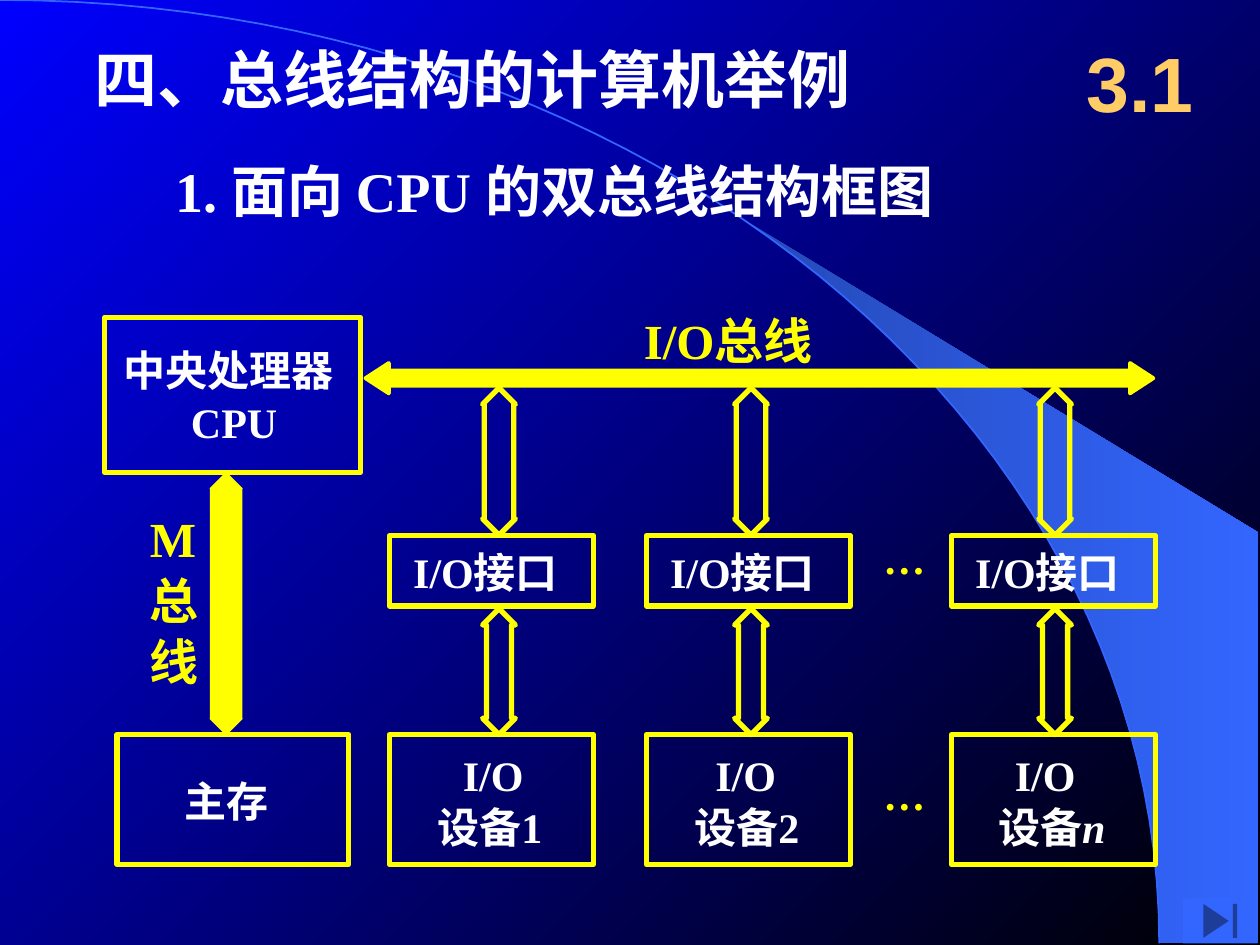
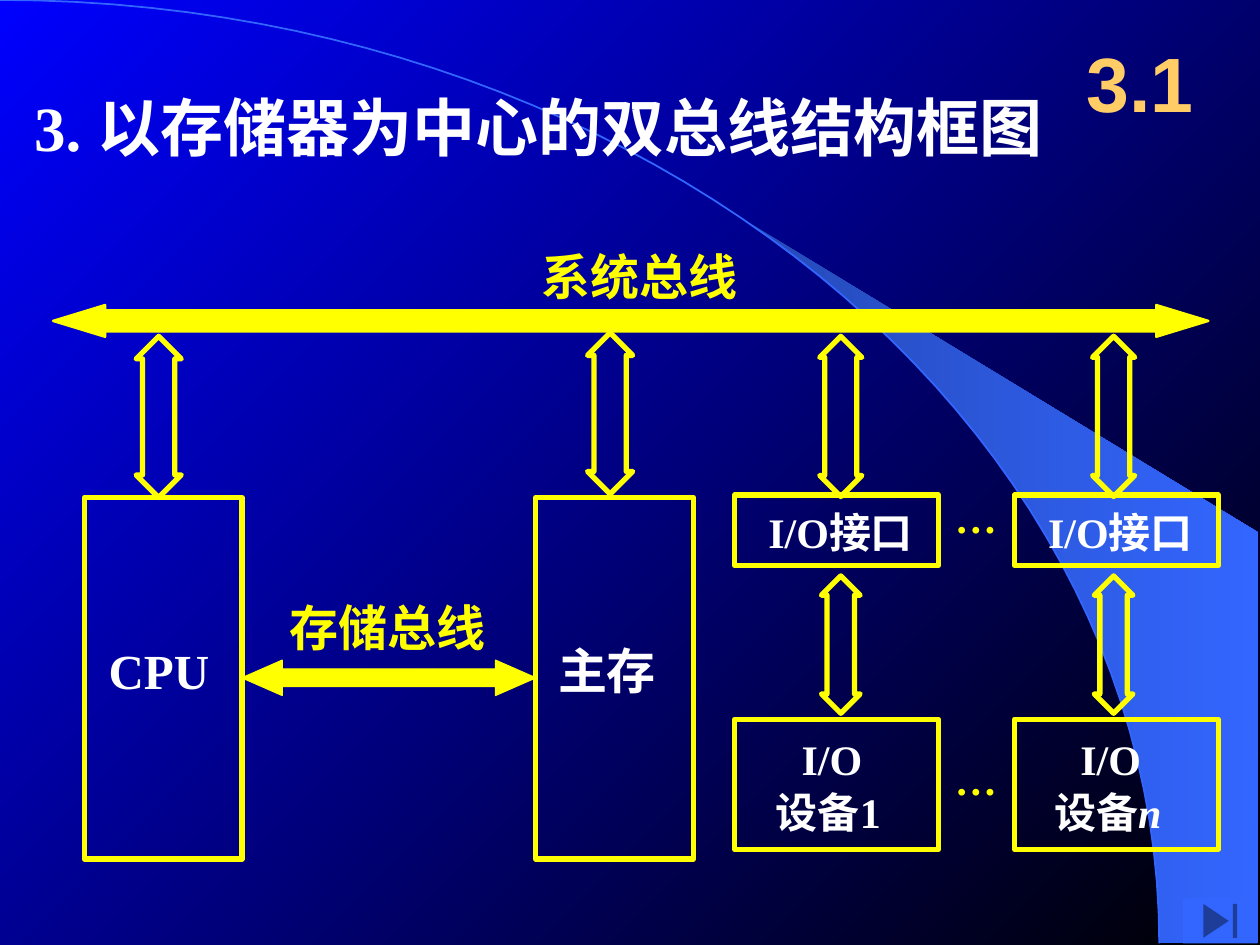
from typing import NamedTuple

from pptx import Presentation
from pptx.dml.color import RGBColor
from pptx.enum.shapes import MSO_SHAPE
from pptx.enum.text import MSO_ANCHOR, PP_ALIGN
from pptx.oxml.ns import qn
from pptx.util import Cm, Pt

RECT = MSO_SHAPE.RECTANGLE
UP_DOWN = MSO_SHAPE.UP_DOWN_ARROW
LEFT_RIGHT = MSO_SHAPE.LEFT_RIGHT_ARROW
END_BUTTON = MSO_SHAPE.ACTION_BUTTON_END
TOP, MIDDLE = MSO_ANCHOR.TOP, MSO_ANCHOR.MIDDLE
LEFT, CENTER = PP_ALIGN.LEFT, PP_ALIGN.CENTER

COLORS = {
    "sky": "0000FF",
    "night": "000000",
    "arc": "3366FF",
    "arc_dark": "2449B6",
    "text": "FFFFFF",
    "bus": "FFFF00",
    "section": "FFCC66",
}
SERIF, SANS, CJK = "Times New Roman", "Arial", "Noto Sans CJK SC"
LINE_FACTOR = 1.25

# Sizes shared by both diagrams
IO_WIDTH, INTERFACE_HEIGHT, DEVICE_HEIGHT = 4.11, 1.42, 2.62
HEAD_SHARE = 0.2


class Area(NamedTuple):
    left: float
    top: float
    width: float
    height: float


class Line(NamedTuple):
    text: str
    indent: float = 0
    italic_tail: str = ""


class Span(NamedTuple):
    top: float
    height: float
    width: float


class IoColumn(NamedTuple):
    left: float
    center: float
    name_indent: float
    number_indent: float
    number: str = ""
    variable: str = ""


class IoBank(NamedTuple):
    interface_top: float
    device_top: float
    upper: Span
    lower: Span
    interface_indent: float
    dots_left: float
    columns: list[IoColumn]


def rgb(name: str) -> RGBColor:
    return RGBColor.from_string(COLORS[name])


def set_gradient(fill, start: str, end: str, angle: float) -> None:
    fill.gradient()
    fill.gradient_angle = angle
    for stop, name in zip(fill.gradient_stops, (start, end)):
        stop.color.rgb = rgb(name)


# Text
def write_text(shape, lines: list[Line], *, size: float, color: str = "text",
               font: str = SERIF, east_font: str = CJK, anchor=TOP,
               align=LEFT, bottom: float = 0) -> None:
    frame = shape.text_frame
    frame.word_wrap = True
    frame.vertical_anchor = anchor
    frame.margin_left = frame.margin_right = frame.margin_top = 0
    frame.margin_bottom = Cm(bottom)
    for index, line in enumerate(lines):
        paragraph = frame.add_paragraph() if index else frame.paragraphs[0]
        paragraph.alignment = align
        paragraph.line_spacing = Pt(size * LINE_FACTOR)
        paragraph._p.get_or_add_pPr().set("marL", str(Cm(line.indent)))
        for text, italic in ((line.text, False), (line.italic_tail, True)):
            if not text:
                continue
            run = paragraph.add_run()
            run.text = text
            run.font.size = Pt(size)
            run.font.bold = True
            run.font.italic = italic
            run.font.name = font
            run.font.color.rgb = rgb(color)
            east = run._r.get_or_add_rPr().makeelement(
                qn("a:ea"), {"typeface": east_font})
            run.font._element.find(qn("a:latin")).addnext(east)


def add_label(slide, area: Area, *texts: str, **style) -> None:
    label = slide.shapes.add_textbox(*map(Cm, area))
    write_text(label, [Line(text) for text in texts], **style)


# Shapes
def add_figure(slide, kind, area: Area, *, fill: str = "", line: str = "",
               weight: float = 3):
    figure = slide.shapes.add_shape(kind, *map(Cm, area))
    figure.shadow.inherit = False
    paint(figure, fill, line, weight)
    return figure


def paint(figure, fill: str, line: str, weight: float) -> None:
    if fill:
        figure.fill.solid()
        figure.fill.fore_color.rgb = rgb(fill)
    else:
        figure.fill.background()
    if line:
        figure.line.color.rgb = rgb(line)
        figure.line.width = Pt(weight)
    else:
        figure.line.fill.background()


def add_unit(slide, area: Area, *lines: Line, size: float = 24,
             bottom: float = 0) -> None:
    unit = add_figure(slide, RECT, area, line="bus")
    write_text(unit, list(lines), size=size, anchor=MIDDLE, bottom=bottom)


def add_bus(slide, kind, area: Area, shaft: float, head: float,
            weight: float) -> None:
    bus = add_figure(slide, kind, area, fill="bus", line="bus", weight=weight)
    bus.adjustments[0], bus.adjustments[1] = shaft, head


def add_link(slide, center: float, span: Span) -> None:
    area = Area(center - span.width / 2, span.top, span.width, span.height)
    link = add_figure(slide, UP_DOWN, area, line="bus")
    link.adjustments[0] = 0.5
    link.adjustments[1] = HEAD_SHARE * span.height / span.width


def add_outline(slide, points: list[tuple[float, float]], closed: bool):
    first, *rest = [(Cm(x), Cm(y)) for x, y in points]
    builder = slide.shapes.build_freeform(*first, scale=1.0)
    builder.add_line_segments(rest, close=closed)
    outline = builder.convert_to_shape()
    outline.shadow.inherit = False
    return outline


# Shared slide frame
def arc_point(t: float) -> tuple[float, float]:
    second, third = 3 * t * (1 - t) ** 2, 3 * t ** 2 * (1 - t)
    return (12.9 * second + 23.37 * (third + t ** 3),
            8.51 * third + 19.02 * t ** 3)


def add_base_slide(prs):
    slide = prs.slides.add_slide(prs.slide_layouts[6])
    arc = [arc_point(step / 50) for step in range(51)]
    beam = add_outline(slide, arc[22:] + [(25.37, 19.02), (25.37, 10.74)], True)
    set_gradient(beam.fill, "arc_dark", "arc", 0)
    beam.line.fill.background()
    paint(add_outline(slide, arc, False), "", "arc", 1)
    add_label(slide, Area(21.39, 0.43, 3.18, 2.34), "3.1", size=44, font=SANS,
              color="section", anchor=MIDDLE, align=CENTER)
    add_figure(slide, END_BUTTON, Area(23.85, 18.11, 1.5, 0.91), fill="arc")
    return slide


def add_io_bank(slide, bank: IoBank) -> None:
    for column in bank.columns:
        add_unit(slide, Area(column.left, bank.interface_top, IO_WIDTH,
                             INTERFACE_HEIGHT),
                 Line("I/O接口", bank.interface_indent))
        add_unit(slide, Area(column.left, bank.device_top, IO_WIDTH,
                             DEVICE_HEIGHT),
                 Line("I/O", column.name_indent),
                 Line("设备" + column.number, column.number_indent,
                      column.variable))
        for span in (bank.upper, bank.lower):
            add_link(slide, column.center, span)
    for top in (bank.interface_top - 0.11, bank.device_top + 0.65):
        add_label(slide, Area(bank.dots_left, top, 1.04, 1.02), "…", size=24,
                  color="bus", east_font=SERIF)


def build_cpu_centred(prs) -> None:
    slide = add_base_slide(prs)
    add_label(slide, Area(1.9, 0.76, 17.2, 1.6), "四、总线结构的计算机举例", size=36)
    add_label(slide, Area(3.53, 3.1, 18, 1.4), "1. 面向 CPU 的双总线结构框图",
              size=32)

    # Processor, memory and their buses
    add_unit(slide, Area(2.11, 6.4, 5.16, 3.12),
             Line("中央处理器", 0.39), Line("CPU", 1.74))
    add_unit(slide, Area(2.36, 14.81, 4.67, 2.62), Line("主存", 1.37))
    add_label(slide, Area(12.98, 6.22, 5.03, 1.2), "I/O总线", size=28,
              color="bus")
    add_bus(slide, LEFT_RIGHT, Area(7.37, 7.32, 15.88, 0.61), 0.5, 0.77, 2.25)
    add_label(slide, Area(3.02, 10.21, 1.2, 3.7), "M", "总", "线", size=28,
              color="bus")
    add_bus(slide, UP_DOWN, Area(4.24, 9.53, 0.64, 5.28), 0.5, 0.98, 0.75)

    add_io_bank(slide, IoBank(
        interface_top=10.8, device_top=14.81,
        upper=Span(7.82, 2.97, 0.66), lower=Span(12.27, 2.54, 0.66),
        interface_indent=0.48, dots_left=17.81,
        columns=[IoColumn(7.85, 10.06, 1.48, 0.97, number="1"),
                 IoColumn(13.03, 15.14, 1.39, 0.97, number="2"),
                 IoColumn(19.18, 21.27, 1.28, 0.94, variable="n")]))


def build_memory_centred(prs) -> None:
    slide = add_base_slide(prs)
    add_label(slide, Area(0.69, 1.73, 21.6, 1.6), "3. 以存储器为中心的双总线结构框图",
              size=36)

    # System bus
    add_label(slide, Area(10.92, 4.93, 6.43, 1.2), "系统总线", size=28,
              color="bus")
    add_bus(slide, LEFT_RIGHT, Area(1.07, 6.15, 23.29, 0.64), 0.67, 1.64, 1.38)

    # Processor and memory
    for left, name, indent, link_top in ((1.7, "CPU", 0.49, 6.78),
                                         (10.8, "主存", 0.45, 6.71)):
        add_unit(slide, Area(left, 10.03, 3.18, 7.29), Line(name, indent),
                 size=28, bottom=0.4)
        add_link(slide, left + 1.5, Span(link_top, 3.25, 0.91))
    add_bus(slide, LEFT_RIGHT, Area(4.88, 13.31, 5.92, 0.71), 0.5, 1.14, 0.75)
    add_label(slide, Area(5.84, 11.99, 4.2, 1.2), "存储总线", size=28,
              color="bus")

    add_io_bank(slide, IoBank(
        interface_top=9.98, device_top=14.5,
        upper=Span(6.78, 3.23, 0.85), lower=Span(11.61, 2.77, 0.78),
        interface_indent=0.68, dots_left=19.25,
        columns=[IoColumn(14.81, 16.95, 1.35, 0.83, number="1"),
                 IoColumn(20.45, 22.45, 1.33, 0.8, variable="n")]))


def main() -> None:
    prs = Presentation()
    prs.slide_width, prs.slide_height = Cm(25.4), Cm(19.05)
    set_gradient(prs.slide_master.background.fill, "sky", "night", 315)
    build_cpu_centred(prs)
    build_memory_centred(prs)
    prs.save("out.pptx")


if __name__ == "__main__":
    main()
